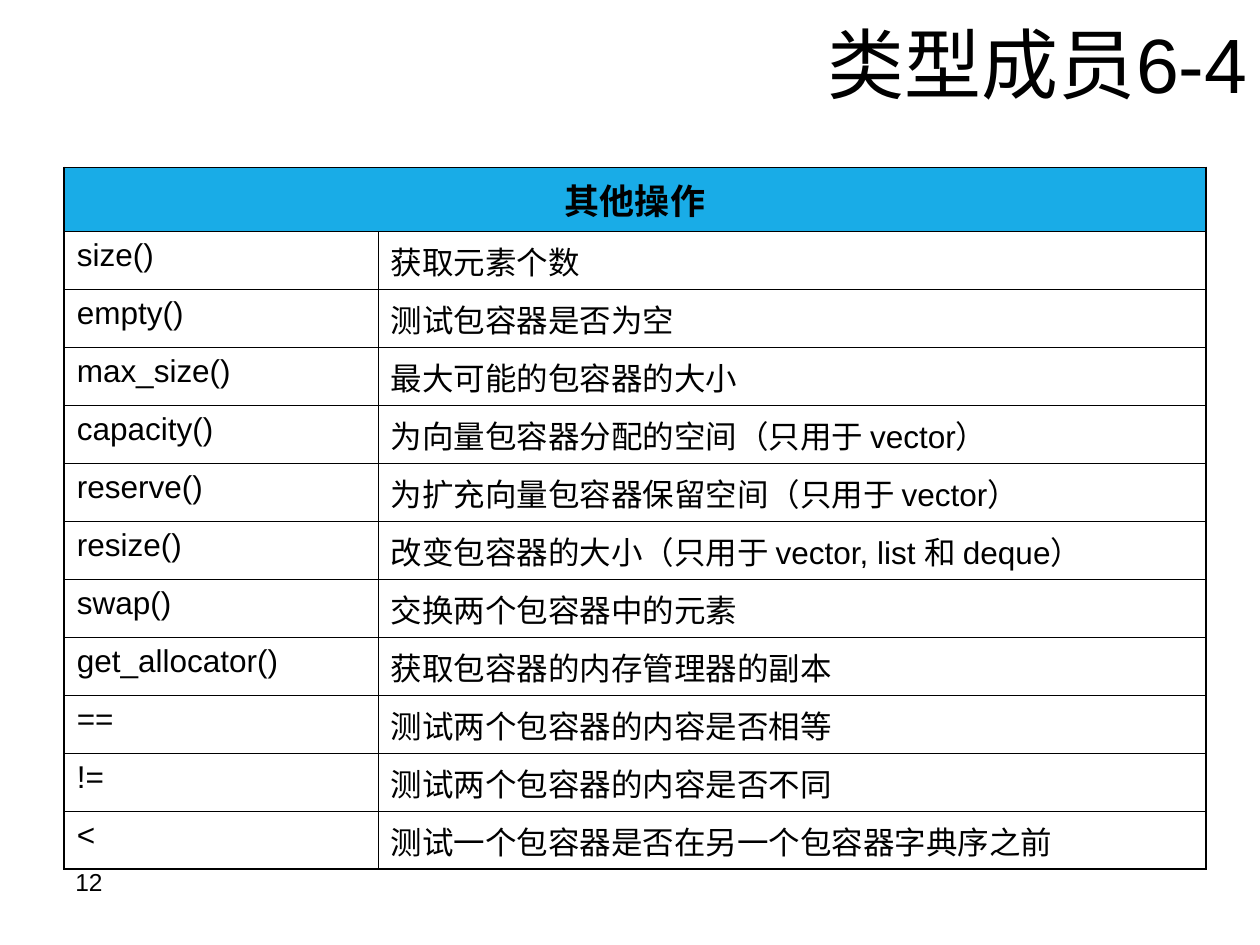
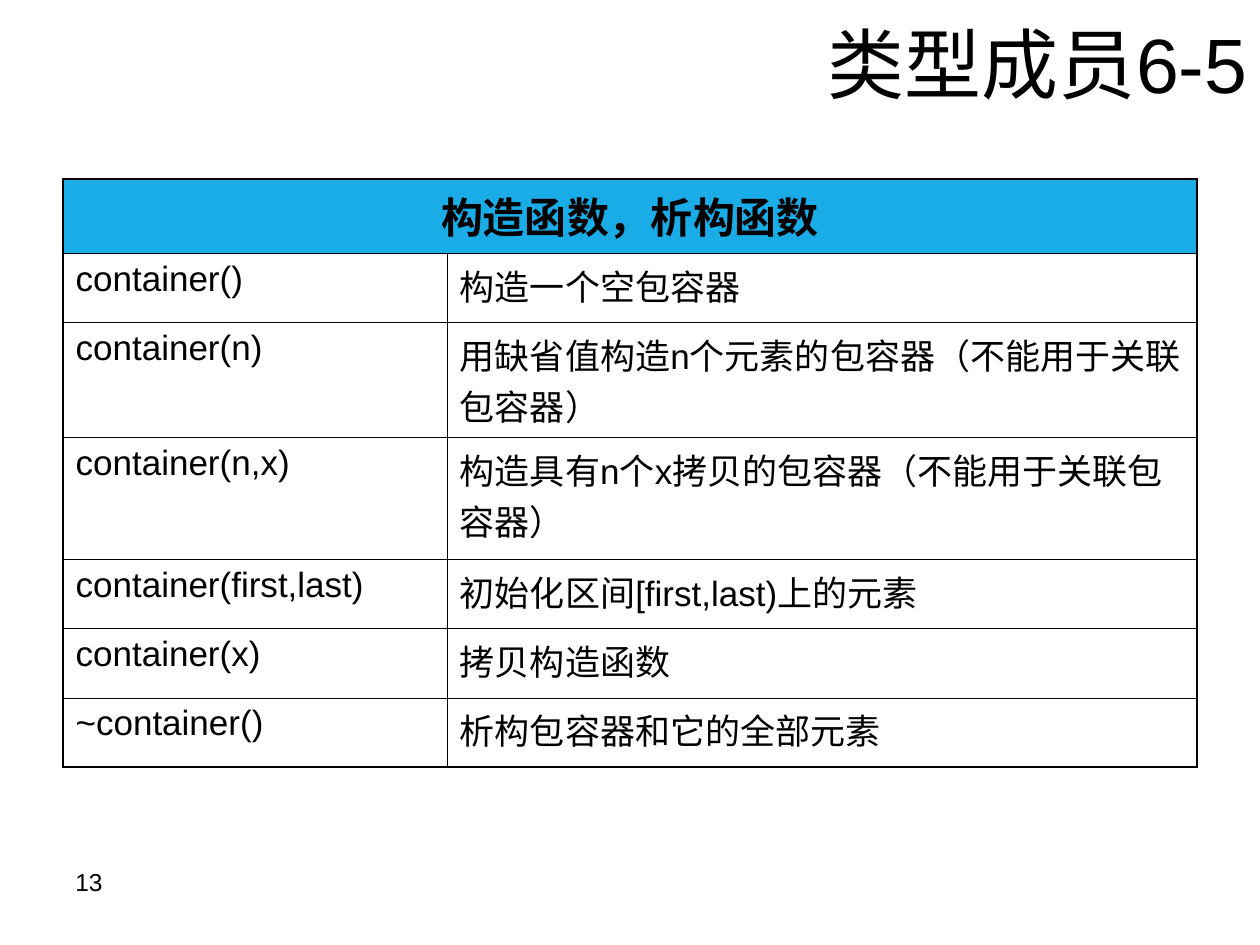
from lxml.etree import SubElement
from pptx import Presentation
from pptx.dml.color import RGBColor
from pptx.enum.text import MSO_ANCHOR, MSO_AUTO_SIZE, PP_ALIGN
from pptx.oxml.ns import qn
from pptx.util import Inches, Pt

THICK, THIN = 1.08, 0.45


def color(value):
    return RGBColor.from_string(value)


class Deck:
    font, ink, header = "Arial", "000000", "19ACE7"

    def __init__(self):
        self.prs = Presentation()
        self.prs.slide_width, self.prs.slide_height = Inches(10), Inches(7.5)
        self.s = None

    def add_text(self, tf, text, size, bold=False, align=PP_ALIGN.LEFT, before=0):
        p = tf.paragraphs[0]
        for name, value in {"alignment": align, "space_before": Pt(before)}.items():
            setattr(p, name, value)
        r = p.add_run()
        r.text = text
        for name, value in {"name": self.font, "size": Pt(size), "bold": bold}.items():
            setattr(r.font, name, value)
        r.font.color.rgb = color(self.ink)

    def slide(self, title, number):
        self.s = self.prs.slides.add_slide(self.prs.slide_layouts[5])
        self.number(number)
        self.title(title)

    def title(self, text):
        sp = self.s.shapes.title
        place = {"left": 1, "top": 0, "width": 9, "height": 0.99}
        for name, value in place.items():
            setattr(sp, name, Inches(value))
        tf = sp.text_frame
        tf.auto_size = MSO_AUTO_SIZE.NONE
        tf.vertical_anchor = MSO_ANCHOR.MIDDLE
        self.add_text(tf, text, 44, align=PP_ALIGN.RIGHT)

    def number(self, value):
        sp = self.s.shapes.add_textbox(Inches(0.5), Inches(6.83), Inches(2.33), Inches(0.52))
        sp.text_frame.word_wrap = True
        self.add_text(sp.text_frame, str(value), 14)

    def borders(self, cell, left, right, top, bottom):
        tcPr = cell._tc.get_or_add_tcPr()
        for side, width in zip("LRTB", (left, right, top, bottom)):
            ln = SubElement(tcPr, qn(f"a:ln{side}"), w=str(Pt(width)))
            fill = SubElement(ln, qn("a:solidFill"))
            SubElement(fill, qn("a:srgbClr"), val=self.ink)

    def table(self, left, top, widths, heights, heading, rows, size):
        """Heading across both columns, then one row per member."""
        tbl = self.s.shapes.add_table(
            len(heights), len(widths), Inches(left), Inches(top),
            Inches(sum(widths)), Inches(sum(heights))).table
        tbl.first_row = tbl.horz_banding = False
        for column, width in zip(tbl.columns, widths):
            column.width = Inches(width)
        for row, height in zip(tbl.rows, heights):
            row.height = Inches(height)

        last_row, last_col = len(heights) - 1, len(widths) - 1
        for i, texts in enumerate([(heading, ""), *rows]):
            for j, text in enumerate(texts):
                cell = tbl.cell(i, j)
                self.borders(cell,
                             THICK if j == 0 else THIN,
                             THICK if j == last_col or i == 0 else THIN,
                             THICK if i == 0 else THIN,
                             THICK if i == last_row else THIN)
                if i == 0:
                    cell.fill.solid()
                    cell.fill.fore_color.rgb = color(self.header)
                else:
                    cell.fill.background()
                    self.add_text(cell.text_frame, text, size, before=size / 4)

        head = tbl.cell(0, 0)
        head.merge(tbl.cell(0, last_col))
        # The heading is one step larger than the rows
        head_size = {18: 20, 20: 24}[size]
        self.add_text(head.text_frame, heading, head_size, True, PP_ALIGN.CENTER, head_size / 4)


OPERATIONS = [
    ("size()", "获取元素个数"),
    ("empty()", "测试包容器是否为空"),
    ("max_size()", "最大可能的包容器的大小"),
    ("capacity()", "为向量包容器分配的空间（只用于 vector）"),
    ("reserve()", "为扩充向量包容器保留空间（只用于 vector）"),
    ("resize()", "改变包容器的大小（只用于 vector, list 和 deque）"),
    ("swap()", "交换两个包容器中的元素"),
    ("get_allocator()", "获取包容器的内存管理器的副本"),
    ("==", "测试两个包容器的内容是否相等"),
    ("!=", "测试两个包容器的内容是否不同"),
    ("<", "测试一个包容器是否在另一个包容器字典序之前"),
]

CONSTRUCTORS = [
    ("container()", "构造一个空包容器"),
    ("container(n)", "用缺省值构造n个元素的包容器（不能用于关联包容器）"),
    ("container(n,x)", "构造具有n个x拷贝的包容器（不能用于关联包容器）"),
    ("container(first,last)", "初始化区间[first,last)上的元素"),
    ("container(x)", "拷贝构造函数"),
    ("~container()", "析构包容器和它的全部元素"),
]


def main():
    deck = Deck()

    # Other operations
    deck.slide("类型成员6-4", 12)
    deck.table(0.51, 1.33, [2.49, 6.57], [0.51] + [0.46] * len(OPERATIONS),
               "其他操作", OPERATIONS, 18)

    # Constructors and destructor
    deck.slide("类型成员6-5", 13)
    deck.table(0.5, 1.42, [3.05, 5.95], [0.59, 0.55, 0.91, 0.97] + [0.55] * 3,
               "构造函数，析构函数", CONSTRUCTORS, 20)

    deck.prs.save("out.pptx")


if __name__ == "__main__":
    main()
